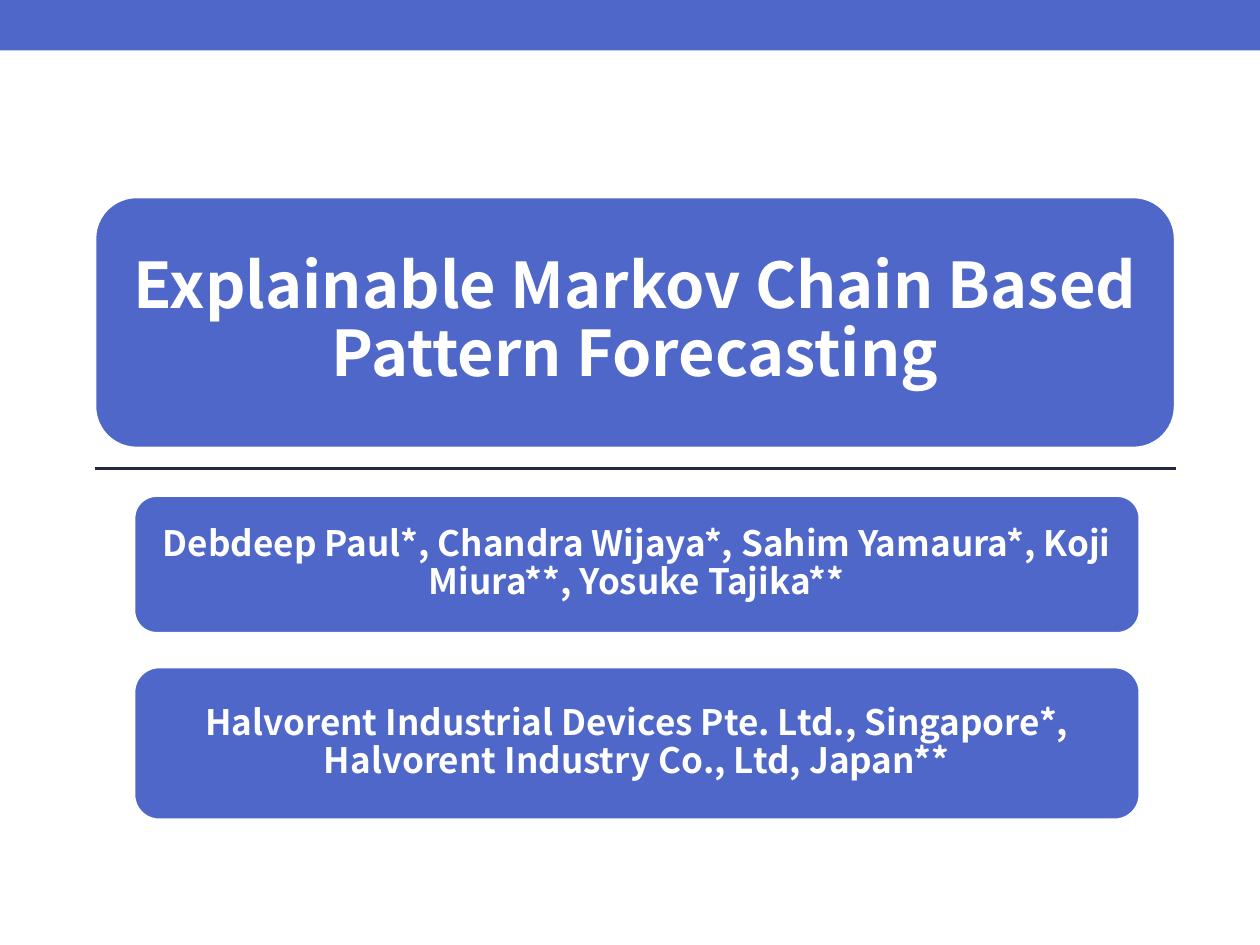
"""Build the title slide of a talk on Markov chain pattern forecasting."""
from lxml import etree
from pptx import Presentation
from pptx.dml.color import RGBColor
from pptx.enum.shapes import MSO_CONNECTOR, MSO_SHAPE
from pptx.enum.text import MSO_ANCHOR, PP_ALIGN
from pptx.oxml.ns import qn
from pptx.util import Inches, Pt

RECTANGLE = MSO_SHAPE.RECTANGLE
ROUNDED = MSO_SHAPE.ROUNDED_RECTANGLE
STRAIGHT = MSO_CONNECTOR.STRAIGHT
MIDDLE = MSO_ANCHOR.MIDDLE
CENTER = PP_ALIGN.CENTER

COLORS = {"blue": "4E67C8", "navy": "212745", "white": "FFFFFF"}
FONT = "Noto Sans CJK JP"
SLIDE_WIDTH, SLIDE_HEIGHT = 10, 7.5
BAND_HEIGHT = 0.4
RULE_LEFT, RULE_RIGHT, RULE_TOP = 0.75, 9.33, 3.72

CARDS = [
    {"text": "Explainable Markov Chain Based Pattern Forecasting",
     "box": (0.75, 1.56, 8.58, 2), "size": 36, "margin": 0.15},
    {"text": "Debdeep Paul*, Chandra Wijaya*, Sahim Yamaura*, Koji Miura**, Yosuke Tajika**",
     "box": (1.06, 3.93, 7.99, 1.1), "size": 20, "margin": 0.08},
    {"text": "Halvorent Industrial Devices Pte. Ltd., Singapore*, Halvorent Industry Co., Ltd, Japan**",
     "box": (1.06, 5.29, 7.99, 1.22), "size": 20, "margin": 0.08},
]


def color(name):
    return RGBColor.from_string(COLORS[name])


def add_panel(slide, kind, box):
    shape = slide.shapes.add_shape(kind, *map(Inches, box))
    shape.shadow.inherit = False
    shape.fill.solid()
    shape.fill.fore_color.rgb = color("blue")
    shape.line.fill.background()
    return shape


def add_rule(slide):
    rule = slide.shapes.add_connector(
        STRAIGHT, Inches(RULE_LEFT), Inches(RULE_TOP), Inches(RULE_RIGHT), Inches(RULE_TOP))
    rule.line.color.rgb = color("navy")
    rule.line.width = Pt(1.5)
    etree.SubElement(rule._element.spPr, qn("a:effectLst"))


def add_card(slide, card):
    shape = add_panel(slide, ROUNDED, card["box"])
    shape.line.color.rgb = color("white")
    shape.line.width = Pt(2.08)
    text_frame = shape.text_frame
    text_frame.word_wrap = True
    text_frame.vertical_anchor = MIDDLE
    margin = Inches(card["margin"])
    text_frame.margin_left = text_frame.margin_right = margin
    text_frame.margin_top = text_frame.margin_bottom = margin
    text_frame.text = card["text"]
    paragraph = text_frame.paragraphs[0]
    paragraph.alignment = CENTER
    paragraph.line_spacing = 0.9
    font = paragraph.runs[0].font
    font.name = FONT
    font.size = Pt(card["size"])
    font.bold = True
    font.color.rgb = color("white")


def main():
    presentation = Presentation()
    presentation.slide_width = Inches(SLIDE_WIDTH)
    presentation.slide_height = Inches(SLIDE_HEIGHT)
    slide = presentation.slides.add_slide(presentation.slide_layouts[6])
    add_panel(slide, RECTANGLE, (0, 0, SLIDE_WIDTH, BAND_HEIGHT))
    add_rule(slide)
    for card in CARDS:
        add_card(slide, card)
    presentation.save("out.pptx")


if __name__ == "__main__":
    main()
